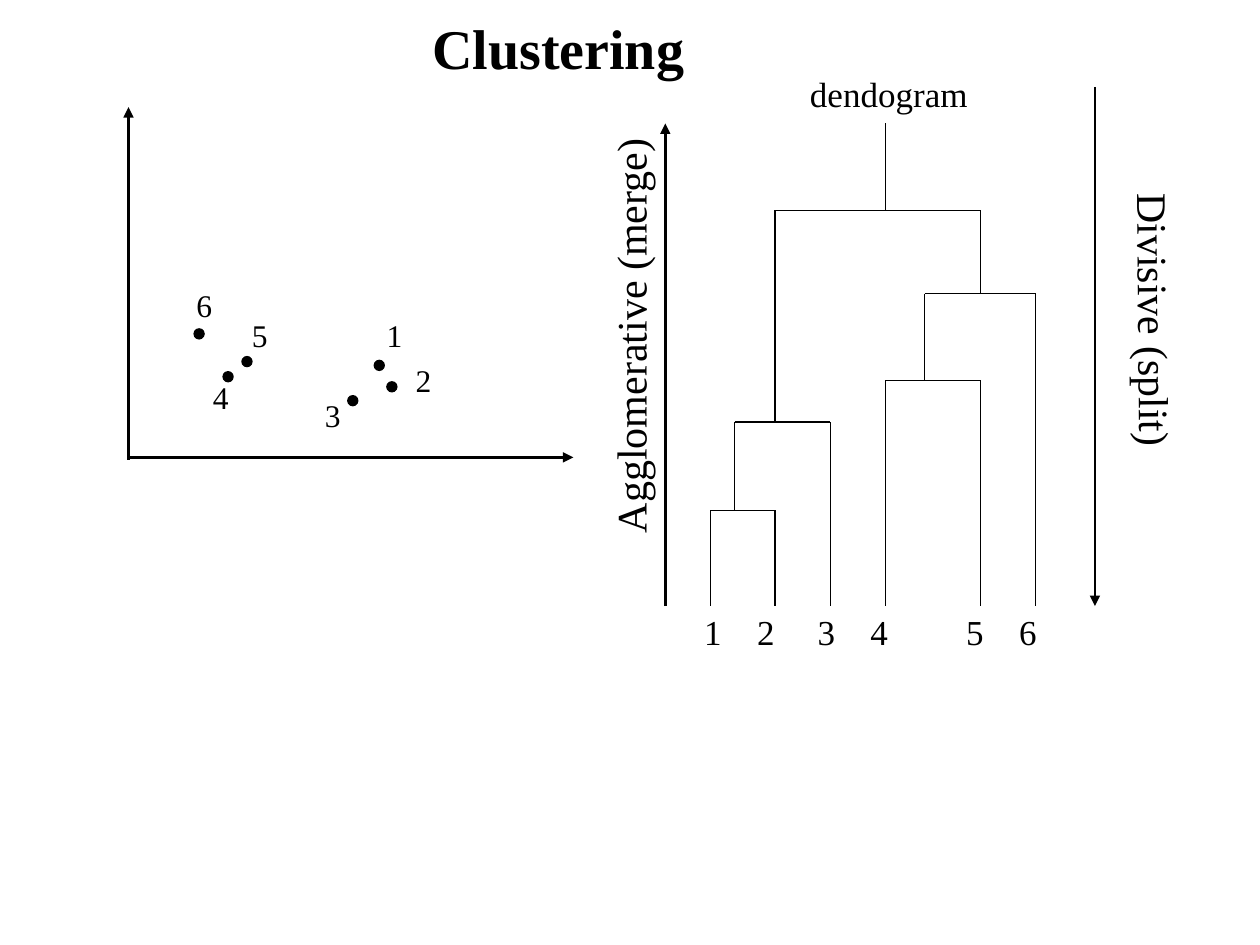
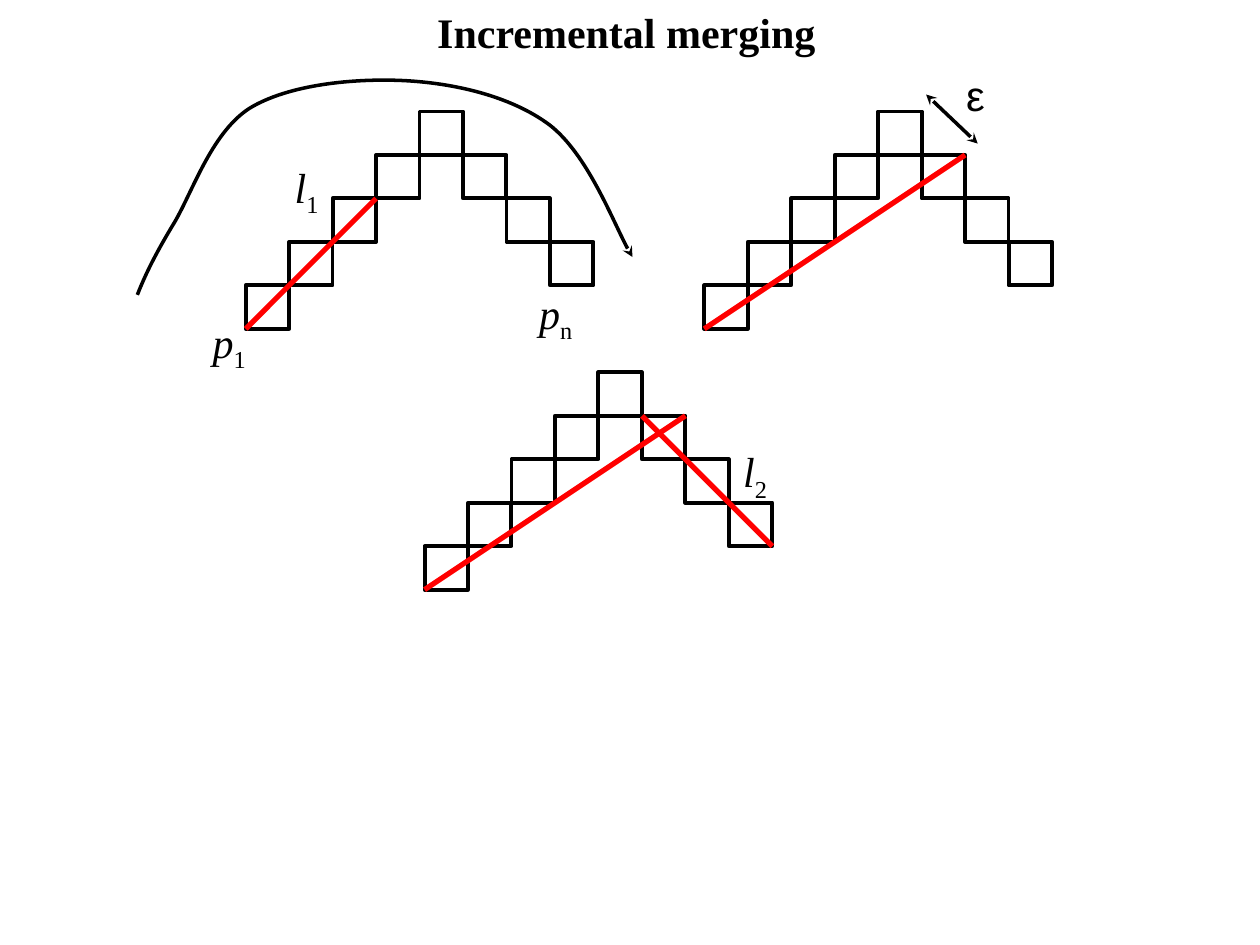
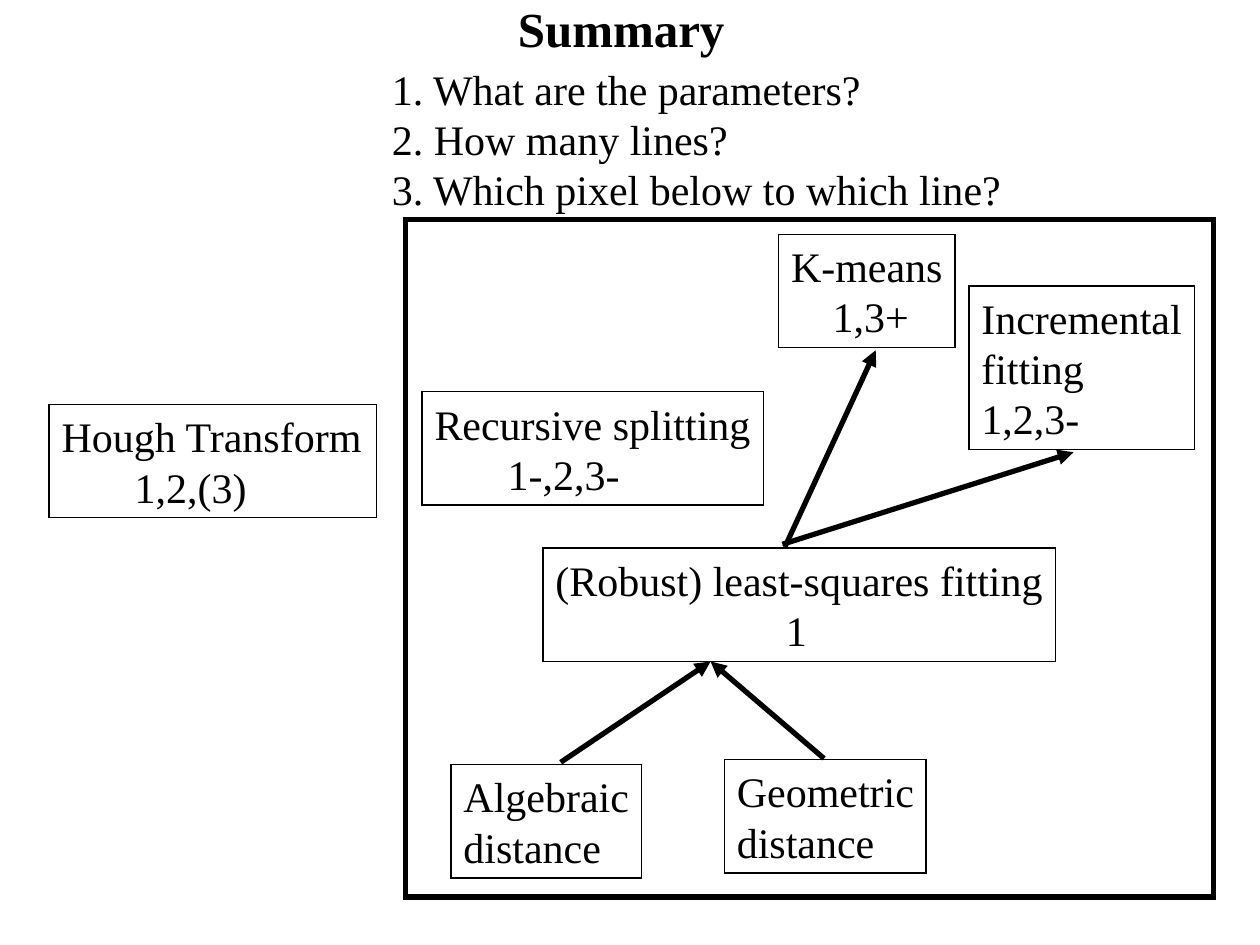
from lxml.etree import SubElement
from pptx import Presentation
from pptx.dml.color import RGBColor
from pptx.enum.shapes import MSO_CONNECTOR, MSO_SHAPE
from pptx.enum.text import MSO_ANCHOR, MSO_AUTO_SIZE, PP_ALIGN
from pptx.oxml.ns import qn
from pptx.util import Inches, Pt

BLACK = RGBColor(0x00, 0x00, 0x00)
RED = RGBColor(0xFF, 0x00, 0x00)
FONT = "Times New Roman"
# The narrow right margin keeps tightly fitted words on one line
FRAME_FORMAT = {
    "auto_size": MSO_AUTO_SIZE.SHAPE_TO_FIT_TEXT,
    "vertical_anchor": MSO_ANCHOR.TOP,
    "margin_right": Inches(0.04),
}
PARAGRAPH_FORMAT = {
    "alignment": PP_ALIGN.LEFT,
    "space_before": Pt(0),
    "line_spacing": 1.0,
}


def write_text(shape, text, size, wrap=False, **font_format):
    frame = shape.text_frame
    frame.text = text
    frame.word_wrap = wrap
    for name, value in FRAME_FORMAT.items():
        setattr(frame, name, value)
    for paragraph in frame.paragraphs:
        for name, value in PARAGRAPH_FORMAT.items():
            setattr(paragraph, name, value)
        font = paragraph.runs[0].font
        font.color.rgb = BLACK
        for name, value in {"name": FONT, "size": Pt(size), **font_format}.items():
            setattr(font, name, value)
    return frame


def add_line(shapes, start, end, width, color=BLACK, **arrowheads):
    points = [Inches(value) for value in (*start, *end)]
    line = shapes.add_connector(MSO_CONNECTOR.STRAIGHT, *points)
    line.line.width = Pt(width)
    line.line.color.rgb = color
    properties = line._element.spPr
    for end_name, kind in arrowheads.items():
        SubElement(properties.find(qn("a:ln")), qn(f"a:{end_name}"), type=kind)
    SubElement(properties, qn("a:effectLst"))


presentation = Presentation()
presentation.slide_width = Inches(10)
presentation.slide_height = Inches(7.5)

# Slides and their titles
slides = []
for layout_index, title, title_box, size in [
    (5, "Clustering", (3.33, 0.06, 2.2, 0.64), 32),
    (5, "Incremental merging", (3.37, 0, 3.21, 0.5), 24),
    (1, "Summary", (4.01, -0.06, 1.84, 0.57), 28),
]:
    slide = presentation.slides.add_slide(presentation.slide_layouts[layout_index])
    title_shape = slide.shapes.title
    for name, value in zip(("left", "top", "width", "height"), title_box):
        setattr(title_shape, name, Inches(value))
    write_text(title_shape, title, size, bold=True)
    slides.append(slide)
clustering, merging, summary = slides

# Clustering: axes of the scatter and the two reading directions
shapes = clustering.shapes
for start, end in [
    ((1.02, 3.65), (1.02, 0.85)),
    ((1.02, 3.63), (4.55, 3.63)),
    ((5.28, 4.81), (5.28, 0.98)),
    ((8.69, 0.69), (8.69, 4.81)),
]:
    add_line(shapes, start, end, 1.5, tailEnd="triangle")

# Clustering: numbered points
for number, dot_at, label_at in [
    ("1", (2.97, 2.86), (2.97, 2.46)),
    ("2", (3.07, 3.03), (3.2, 2.82)),
    ("3", (2.76, 3.14), (2.48, 3.09)),
    ("4", (1.77, 2.95), (1.59, 2.95)),
    ("5", (1.92, 2.83), (1.9, 2.46)),
    ("6", (1.54, 2.61), (1.46, 2.22)),
]:
    dot = shapes.add_shape(MSO_SHAPE.OVAL, *map(Inches, (*dot_at, 0.08, 0.08)))
    dot.shadow.inherit = False
    dot.fill.solid()
    dot.fill.fore_color.rgb = BLACK
    dot.line.color.rgb = BLACK
    dot.line.width = Pt(0.75)
    label = shapes.add_textbox(*map(Inches, (*label_at, 0.32, 0.4)))
    write_text(label, number, 18)

# Clustering: dendrogram, one bracket for each merge
LEAF_Y = 4.81
add_line(shapes, (7.03, 0.98), (7.03, 1.67), 0.75)
for left, right, merge_y, left_end, right_end in [
    (6.15, 7.78, 1.67, 3.35, 2.33),
    (5.83, 6.59, 3.35, 4.05, LEAF_Y),
    (5.64, 6.15, 4.05, LEAF_Y, LEAF_Y),
    (7.34, 8.22, 2.33, 3.02, LEAF_Y),
    (7.03, 7.78, 3.02, LEAF_Y, LEAF_Y),
]:
    add_line(shapes, (left, merge_y), (right, merge_y), 0.75)
    add_line(shapes, (left, merge_y), (left, left_end), 0.75)
    add_line(shapes, (right, merge_y), (right, right_end), 0.75)

leaves = shapes.add_textbox(*map(Inches, (5.49, 4.8, 2.84, 0.44)))
leaf_frame = write_text(leaves, "1\t2\t3\t4\t5\t6", 20)
tab_list = SubElement(leaf_frame.paragraphs[0]._p.get_or_add_pPr(), qn("a:tabLst"))
for position in (0.42, 0.9, 1.32, 2.08, 2.5):
    SubElement(tab_list, qn("a:tab"), pos=str(Inches(position)), algn="l")

# Clustering: captions
for text, box, size, rotation in [
    ("Agglomerative (merge)", (3.33, 2.41, 3.34, 0.5), 24, 270),
    ("Divisive (split)", (8.06, 2.29, 2.21, 0.5), 24, 89.5),
    ("dendogram", (6.33, 0.53, 1.45, 0.44), 20, 0),
]:
    caption = shapes.add_textbox(*map(Inches, box))
    caption.rotation = rotation
    write_text(caption, text, size)

# Incremental merging: pixel staircases with fitted lines, in pixel steps
PIXEL = 1.38 / 4
PIXEL_ROWS = (0, 1, 2, 3, 4, 3, 2, 1)
shapes = merging.shapes
for left, bottom, fitted_lines in [
    (1.95, 2.61, [((0, 0), (3, 3))]),
    (5.59, 2.61, [((0, 0), (6, 4))]),
    (3.37, 4.68, [((0, 0), (6, 4)), ((5, 4), (8, 1))]),
]:
    staircase = shapes.add_group_shape().shapes
    for column, row in enumerate(PIXEL_ROWS):
        corner = (left + column * PIXEL, bottom - (row + 1) * PIXEL)
        pixel = staircase.add_shape(
            MSO_SHAPE.RECTANGLE, *map(Inches, (*corner, PIXEL, PIXEL)))
        pixel.shadow.inherit = False
        pixel.fill.background()
        pixel.line.color.rgb = BLACK
        pixel.line.width = Pt(2.25)
    for ends in fitted_lines:
        start, end = [(left + x * PIXEL, bottom - y * PIXEL) for x, y in ends]
        add_line(staircase, start, end, 3, RED)

# Incremental merging: labels with subscripts
for letter, subscript, box in [
    ("p", "1", (1.59, 2.46, 0.46, 0.56)),
    ("p", "n", (4.18, 2.23, 0.46, 0.56)),
    ("l", "1", (2.24, 1.23, 0.39, 0.56)),
    ("l", "2", (5.8, 3.49, 0.39, 0.56)),
]:
    label = shapes.add_textbox(*map(Inches, box))
    run = write_text(label, letter, 24, italic=True).paragraphs[0].add_run()
    run.text = subscript
    run.font.name = FONT
    run.font.size = Pt(24)
    run.font.color.rgb = BLACK
    run.font._element.set("baseline", "-25000")

# Incremental merging: scan direction, each three points forming one Bezier
scan_points = [
    (1.15, 2.19), (1.22, 2.04), (1.37, 1.79),
    (1.52, 1.55), (1.67, 1.06), (1.98, 0.86),
    (2.29, 0.67), (2.81, 0.62), (3.21, 0.64),
    (3.6, 0.66), (4.05, 0.76), (4.36, 0.99),
    (4.66, 1.22), (4.91, 1.87), (5.02, 2.04),
]
builder = shapes.build_freeform(Inches(1.09), Inches(2.34))
builder.add_line_segments(
    [(Inches(x), Inches(y)) for x, y in scan_points], close=False)
scan = builder.convert_to_shape()
scan.shadow.inherit = False
scan.fill.background()
scan.line.color.rgb = BLACK
scan.line.width = Pt(2)
SubElement(scan._element.spPr.find(qn("a:ln")), qn("a:tailEnd"), type="stealth")
outline = next(scan._element.iter(qn("a:path")))
segments = outline.findall(qn("a:lnTo"))
for first in range(0, len(segments), 3):
    curve = SubElement(outline, qn("a:cubicBezTo"))
    for segment in segments[first:first + 3]:
        curve.append(segment[0])
        outline.remove(segment)

# Incremental merging: tolerance
add_line(shapes, (7.35, 0.75), (7.76, 1.14), 2, headEnd="stealth", tailEnd="stealth")
epsilon = shapes.add_textbox(*map(Inches, (7.57, 0.5, 0.34, 0.5)))
write_text(epsilon, "ε", 24, name="Arial")

# Summary: questions
shapes = summary.shapes
questions = summary.placeholders[1]
for name, value in zip(("left", "top", "width", "height"), (3.01, 0.45, 5.15, 1.3)):
    setattr(questions, name, Inches(value))
question_frame = write_text(
    questions,
    "1. What are the parameters?\n"
    "2. How many lines?\n"
    "3. Which pixel below to which line?",
    24, wrap=True)
for paragraph in question_frame.paragraphs:
    properties = paragraph._p.get_or_add_pPr()
    properties.set("marL", "0")
    properties.set("indent", "0")
    SubElement(properties, qn("a:buNone"))

# Summary: frame and methods, with the indent of each last line
for text, box, indent, width in [
    ("", (3.22, 1.74, 6.41, 5.38), 0, 3),
    ("Hough Transform\n1,2,(3)", (0.39, 3.21, 2.6, 0.9), 0.58, 0.75),
    ("Recursive splitting\n1-,2,3-", (3.35, 3.11, 2.71, 0.9), 0.58, 0.75),
    ("(Robust) least-squares fitting\n1", (4.31, 4.35, 4.07, 0.9), 1.83, 0.75),
    ("Algebraic\ndistance", (3.58, 6.07, 1.51, 0.9), 0, 0.75),
    ("Geometric\ndistance", (5.75, 6.03, 1.6, 0.9), 0, 0.75),
    ("K-means\n1,3+", (6.18, 1.86, 1.4, 0.9), 0.33, 0.75),
    ("Incremental\nfitting\n1,2,3-", (7.69, 2.27, 1.79, 1.3), 0, 0.75),
]:
    method = shapes.add_shape(MSO_SHAPE.RECTANGLE, *map(Inches, box))
    method.shadow.inherit = False
    method.fill.background()
    method.line.color.rgb = BLACK
    method.line.width = Pt(width)
    SubElement(method._element.spPr.find(qn("a:ln")), qn("a:miter"), lim="800000")
    if text:
        last_line = write_text(method, text, 24).paragraphs[-1]
        last_line._p.get_or_add_pPr().set("marL", str(Inches(indent)))

# Summary: arrows between methods
for start, end in [
    ((6.23, 4.34), (6.95, 2.78)),
    ((4.45, 6.05), (5.64, 5.25)),
    ((6.54, 6.02), (5.64, 5.25)),
    ((6.21, 4.32), (8.52, 3.59)),
]:
    add_line(shapes, start, end, 3, tailEnd="triangle")

presentation.save("out.pptx")
